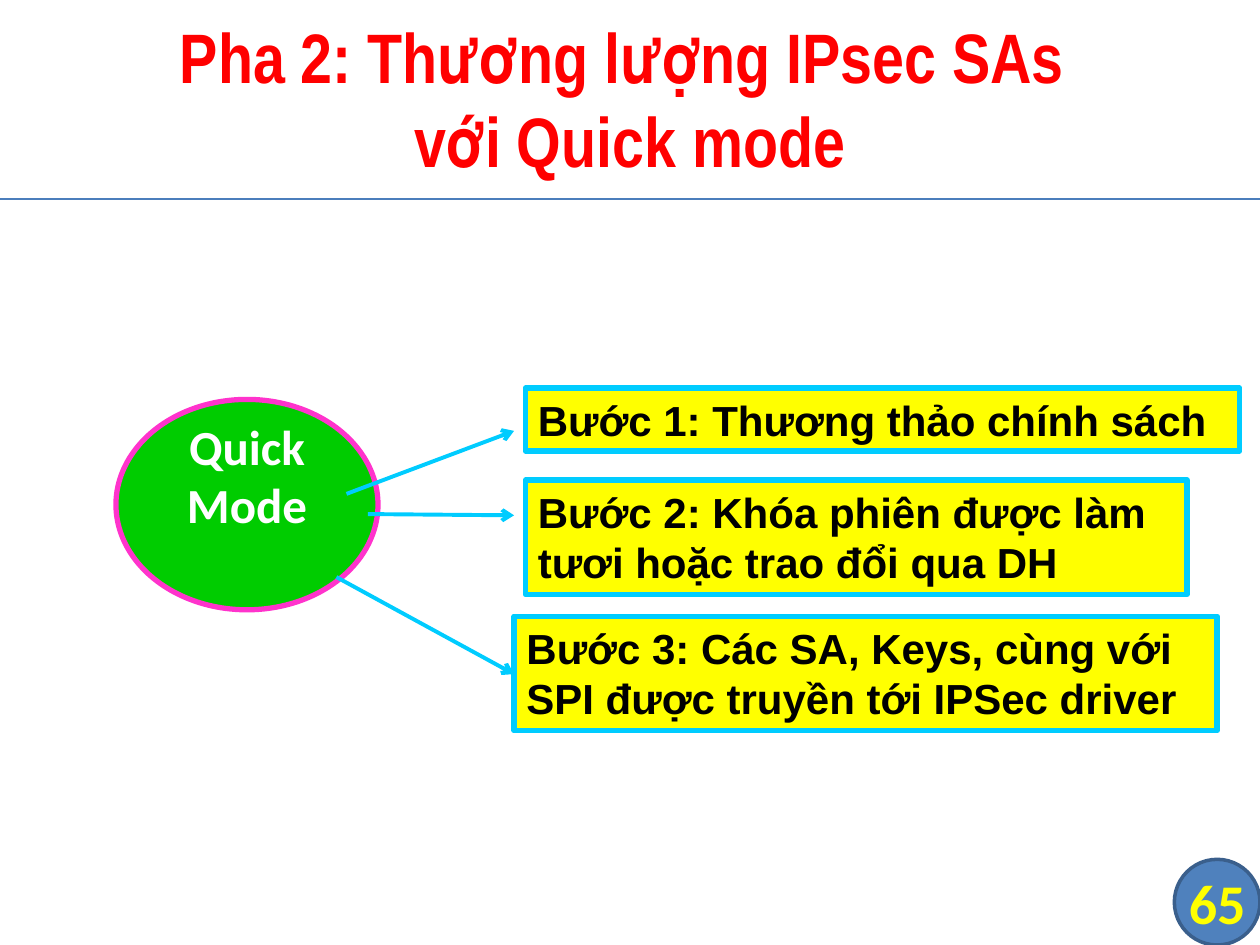
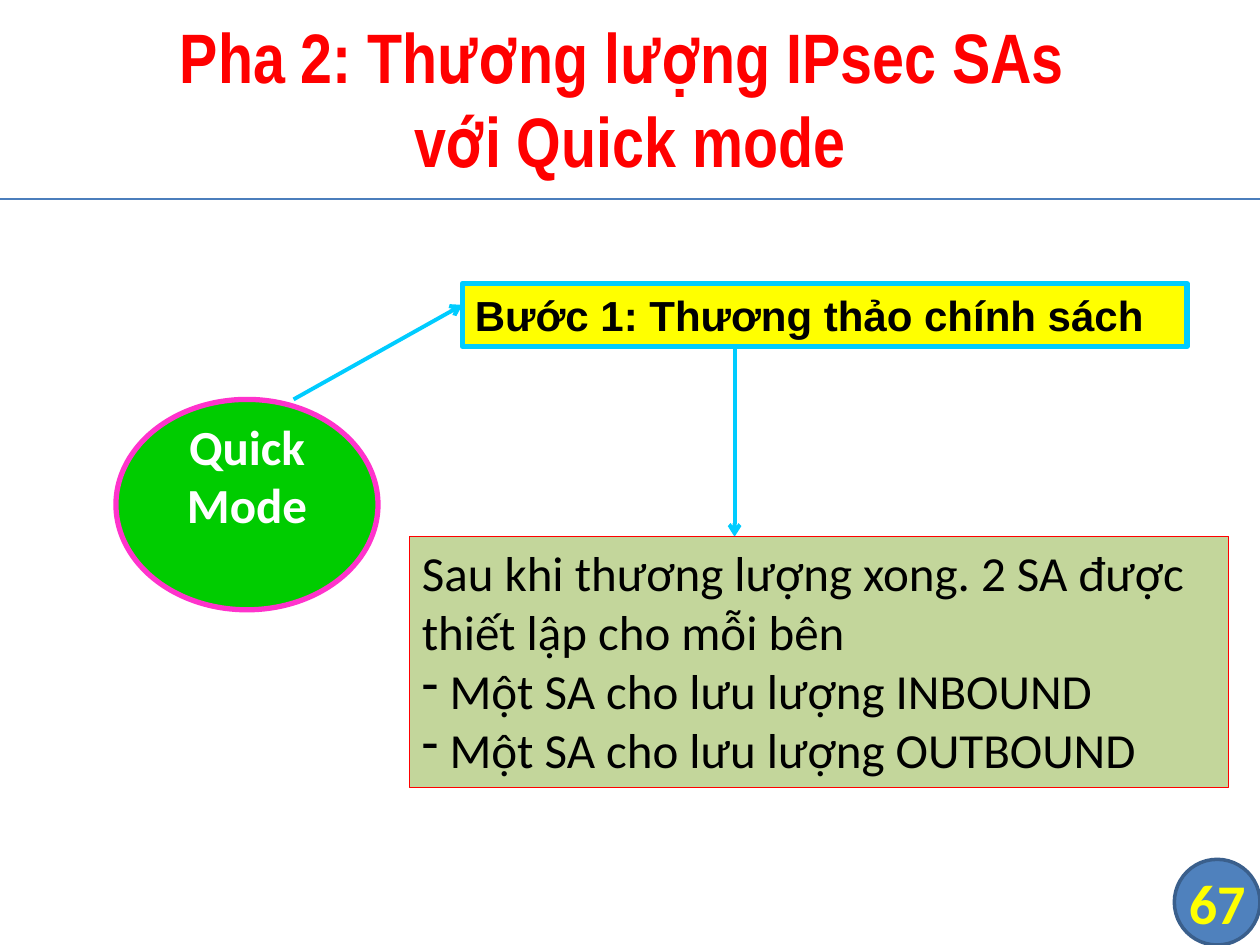
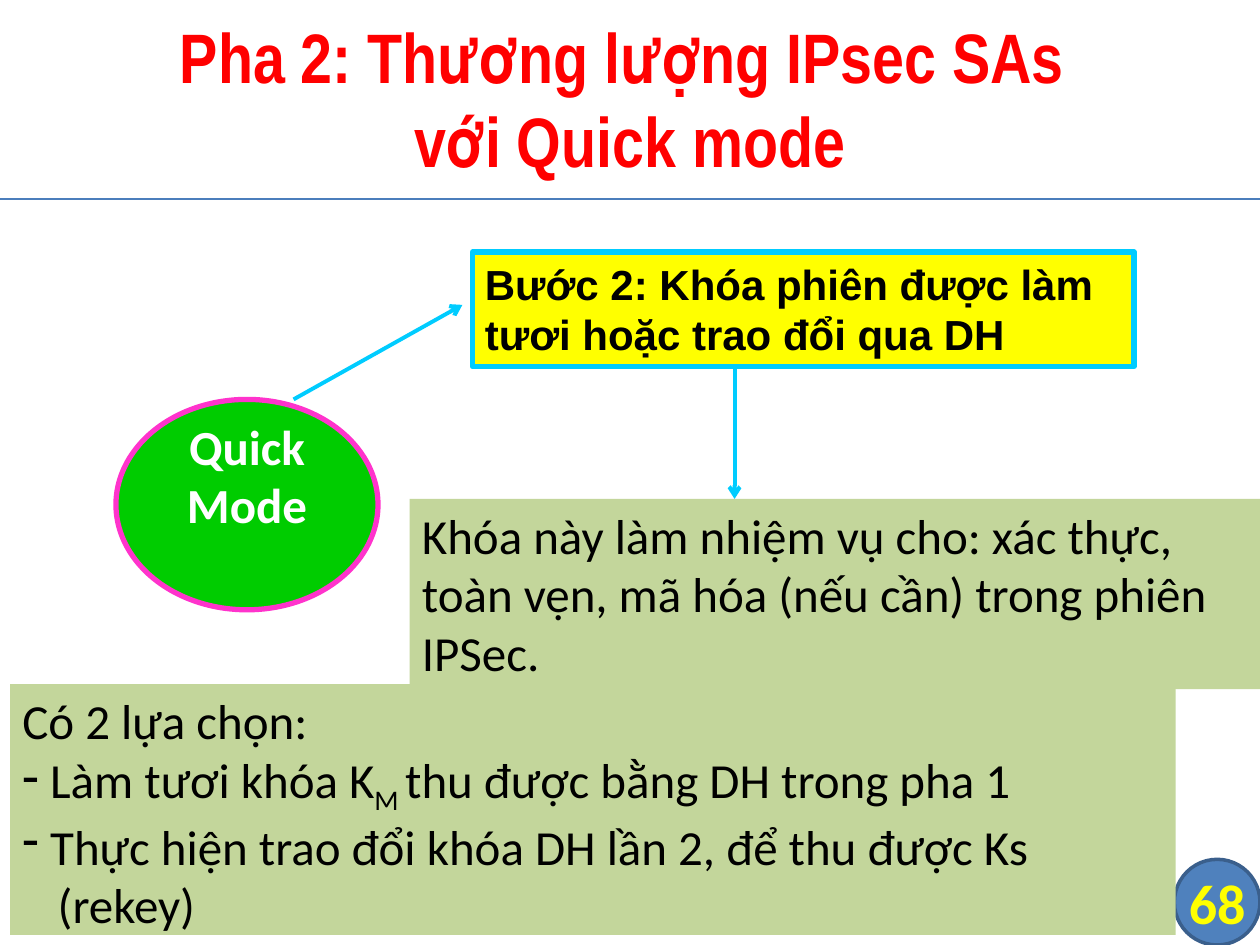
from dataclasses import dataclass

from lxml.etree import SubElement
from pptx import Presentation
from pptx.dml.color import RGBColor
from pptx.enum.shapes import MSO_CONNECTOR as Connector, MSO_SHAPE as Preset
from pptx.enum.text import MSO_ANCHOR as Anchor, MSO_AUTO_SIZE as AutoSize, PP_ALIGN as Align
from pptx.oxml.ns import qn
from pptx.util import Inches, Pt


@dataclass(frozen=True)
class Style:
    font: str
    size: int
    color: str
    bold: bool = False


@dataclass(frozen=True)
class Theme:
    title: Style = Style("Arial Narrow", 40, "FF0000", True)
    number: Style = Style("Calibri", 32, "FFFF00", True)
    mode: Style = Style("Calibri", 28, "FFFFFF", True)
    step: Style = Style("Arial", 24, "000000", True)
    note: Style = Style("Calibri", 28, "000000")
    badge_fill: str = "4F81BD"
    badge_line: str = "3A5F8C"
    rule: str = "4B7EBC"
    mode_fill: str = "00CC00"
    mode_line: str = "FF33CC"
    step_fill: str = "FFFF00"
    accent: str = "00CCFF"
    note_fill: str = "C3D69B"
    note_line: str = "FF0000"


@dataclass(frozen=True)
class Box:
    left: float
    top: float
    width: float
    height: float

    def lengths(self):
        return [Inches(value) for value in (self.left, self.top, self.width, self.height)]

    def point(self, across, down):
        return self.left + across * self.width, self.top + down * self.height


@dataclass(frozen=True)
class Line:
    runs: tuple
    bullet: bool = False
    indent: float = 0


THEME = Theme()
TITLE_LINES = ("Pha 2: Thương lượng IPsec SAs ", "với Quick mode")
TITLE_BOX = Box(0, -0.03, 10, 1.61)
BADGE_BOX = Box(9.32, 6.82, 0.68, 0.68)
MODE_BOX = Box(0.92, 3.17, 2.08, 1.67)
MODE_TOP_EXIT = (2.33, 3.17)
STEP_ENTRY = (3.67, 2.42)
NOTE_ARROW_START = (5.83, 2.75)
BULLET_INDENT = 0.22
STEP_1 = "Bước 1: Thương thảo chính sách"
STEP_2 = "Bước 2: Khóa phiên được làm tươi hoặc trao đổi qua DH"
STEP_3 = "Bước 3: Các SA, Keys, cùng với SPI được truyền tới IPSec driver"


def add_run(paragraph, text, style, baseline=0):
    run = paragraph.add_run()
    run.text = text
    font = run.font
    font.name, font.size, font.bold = style.font, Pt(style.size), style.bold
    font.color.rgb = RGBColor.from_string(style.color)
    if baseline:
        run._r.get_or_add_rPr().set("baseline", str(baseline * 1000))


def add_panel(slide, preset, box, fill, line=None, line_width=0.75):
    shape = slide.shapes.add_shape(preset, *box.lengths())
    shape.shadow.inherit = False
    shape.fill.solid()
    shape.fill.fore_color.rgb = RGBColor.from_string(fill)
    if line:
        shape.line.color.rgb = RGBColor.from_string(line)
        shape.line.width = Pt(line_width)
    else:
        shape.line.fill.background()
    shape.text_frame.word_wrap = True
    return shape


def add_line(slide, start, end, color, width, arrow=False):
    ends = [Inches(value) for value in (*start, *end)]
    connector = slide.shapes.add_connector(Connector.STRAIGHT, *ends)
    connector.line.color.rgb = RGBColor.from_string(color)
    connector.line.width = Pt(width)
    if arrow:
        SubElement(connector.line._get_or_add_ln(), qn("a:tailEnd"), type="arrow")
    SubElement(connector.element.spPr, qn("a:effectLst"))
    return connector


def add_arrow(slide, start, end):
    add_line(slide, start, end, THEME.accent, 2.25, arrow=True)


def add_layout_decor(layout, slide):
    badge = add_panel(slide, Preset.FLOWCHART_CONNECTOR, BADGE_BOX,
                      THEME.badge_fill, THEME.badge_line, 2)
    rule = add_line(slide, TITLE_BOX.point(0, 1), TITLE_BOX.point(1, 1), THEME.rule, 0.75)
    for shape_id, shape in enumerate((badge, rule), 100):
        shape.element.xpath("./*/p:cNvPr")[0].set("id", str(shape_id))
        layout.shapes.element.append(shape.element)


def add_title(slide, box):
    title = slide.shapes.title
    title.left, title.top, title.width, title.height = box.lengths()
    frame = title.text_frame
    frame.auto_size = AutoSize.NONE
    frame.vertical_anchor = Anchor.MIDDLE
    paragraph = frame.paragraphs[0]
    paragraph.alignment = Align.CENTER
    first, second = TITLE_LINES
    add_run(paragraph, first, THEME.title)
    paragraph.add_line_break()
    add_run(paragraph, second, THEME.title)


def add_number(slide, box, number):
    frame = slide.shapes.add_textbox(*box.lengths()).text_frame
    frame.word_wrap = True
    frame.vertical_anchor = Anchor.MIDDLE
    frame.margin_left = frame.margin_right = frame.margin_top = frame.margin_bottom = 0
    frame.paragraphs[0].alignment = Align.CENTER
    add_run(frame.paragraphs[0], str(number), THEME.number)


def add_mode(slide, box):
    frame = add_panel(slide, Preset.OVAL, box, THEME.mode_fill, THEME.mode_line, 3).text_frame
    frame.vertical_anchor = Anchor.MIDDLE
    frame.margin_bottom = Inches(0.52)
    frame.paragraphs[0].alignment = Align.CENTER
    add_run(frame.paragraphs[0], "Quick Mode", THEME.mode)


def add_step(slide, box, text):
    shape = add_panel(slide, Preset.RECTANGLE, box, THEME.step_fill, THEME.accent, 3)
    frame = shape.text_frame
    frame.vertical_anchor = Anchor.TOP
    frame.paragraphs[0].alignment = Align.LEFT
    add_run(frame.paragraphs[0], text, THEME.step)


def add_note(slide, box, lines, border=None):
    frame = add_panel(slide, Preset.RECTANGLE, box, THEME.note_fill, border).text_frame
    frame.vertical_anchor = Anchor.TOP
    for index, line in enumerate(lines):
        paragraph = frame.add_paragraph() if index else frame.paragraphs[0]
        paragraph.alignment = Align.LEFT
        properties = paragraph._p.get_or_add_pPr()
        indent = BULLET_INDENT if line.bullet else line.indent
        properties.set("marL", str(Inches(indent)))
        if line.bullet:
            properties.set("indent", str(-Inches(indent)))
            SubElement(properties, qn("a:buChar"), char="-")
        for text, baseline in line.runs:
            add_run(paragraph, text, THEME.note, baseline)


def plain(text, **options):
    return Line(((text, 0),), **options)


def start_slide(presentation, layout, number):
    slide = presentation.slides.add_slide(layout)
    if len(presentation.slides) == 1:
        add_layout_decor(layout, slide)
    add_title(slide, TITLE_BOX)
    add_number(slide, BADGE_BOX, number)
    add_mode(slide, MODE_BOX)
    return slide


def build_overview(slide):
    steps = (
        (Box(4.17, 3.08, 5.67, 0.5), STEP_1, (2.75, 3.92), (4.08, 3.42)),
        (Box(4.17, 3.81, 5.25, 0.91), STEP_2, (2.92, 4.08), (4.08, 4.09)),
        (Box(4.08, 4.89, 5.58, 0.91), STEP_3, (2.67, 4.58), (4.08, 5.35)),
    )
    for box, text, start, end in steps:
        add_step(slide, box, text)
        add_arrow(slide, start, end)


def build_step_detail(slide, step_box, step_text, note_box, lines, border=None):
    add_arrow(slide, MODE_TOP_EXIT, STEP_ENTRY)
    add_arrow(slide, NOTE_ARROW_START, (NOTE_ARROW_START[0], note_box.top))
    add_step(slide, step_box, step_text)
    add_note(slide, note_box, lines, border)


def main():
    presentation = Presentation()
    presentation.slide_width, presentation.slide_height = Inches(10), Inches(7.5)
    layout = presentation.slide_layouts.get_by_name("Title Only")

    build_overview(start_slide(presentation, layout, 65))

    policy = start_slide(presentation, layout, 67)
    build_step_detail(policy, Box(3.67, 2.25, 5.75, 0.5), STEP_1, Box(3.25, 4.26, 6.5, 1.99), (
        plain("Sau khi thương lượng xong. 2 SA được thiết lập cho mỗi bên"),
        plain("Một SA cho lưu lượng INBOUND", bullet=True),
        plain("Một SA cho lưu lượng OUTBOUND", bullet=True),
    ), THEME.note_line)

    session_key = start_slide(presentation, layout, 68)
    build_step_detail(session_key, Box(3.75, 2, 5.25, 0.91), STEP_2, Box(3.25, 3.96, 6.75, 1.51), (
        plain("Khóa này làm nhiệm vụ cho: xác thực, toàn vẹn, mã hóa (nếu cần) trong phiên IPSec."),
    ))
    add_note(session_key, Box(0.08, 5.43, 9.25, 1.99), (
        plain("Có 2 lựa chọn:"),
        Line((("Làm tươi khóa K", 0), ("M ", -25), ("thu được bằng DH trong pha 1", 0)), bullet=True),
        plain("Thực hiện trao đổi khóa DH lần 2, để thu được Ks", bullet=True),
        plain("(rekey)", indent=0.28),
    ))

    presentation.save("out.pptx")


if __name__ == "__main__":
    main()
